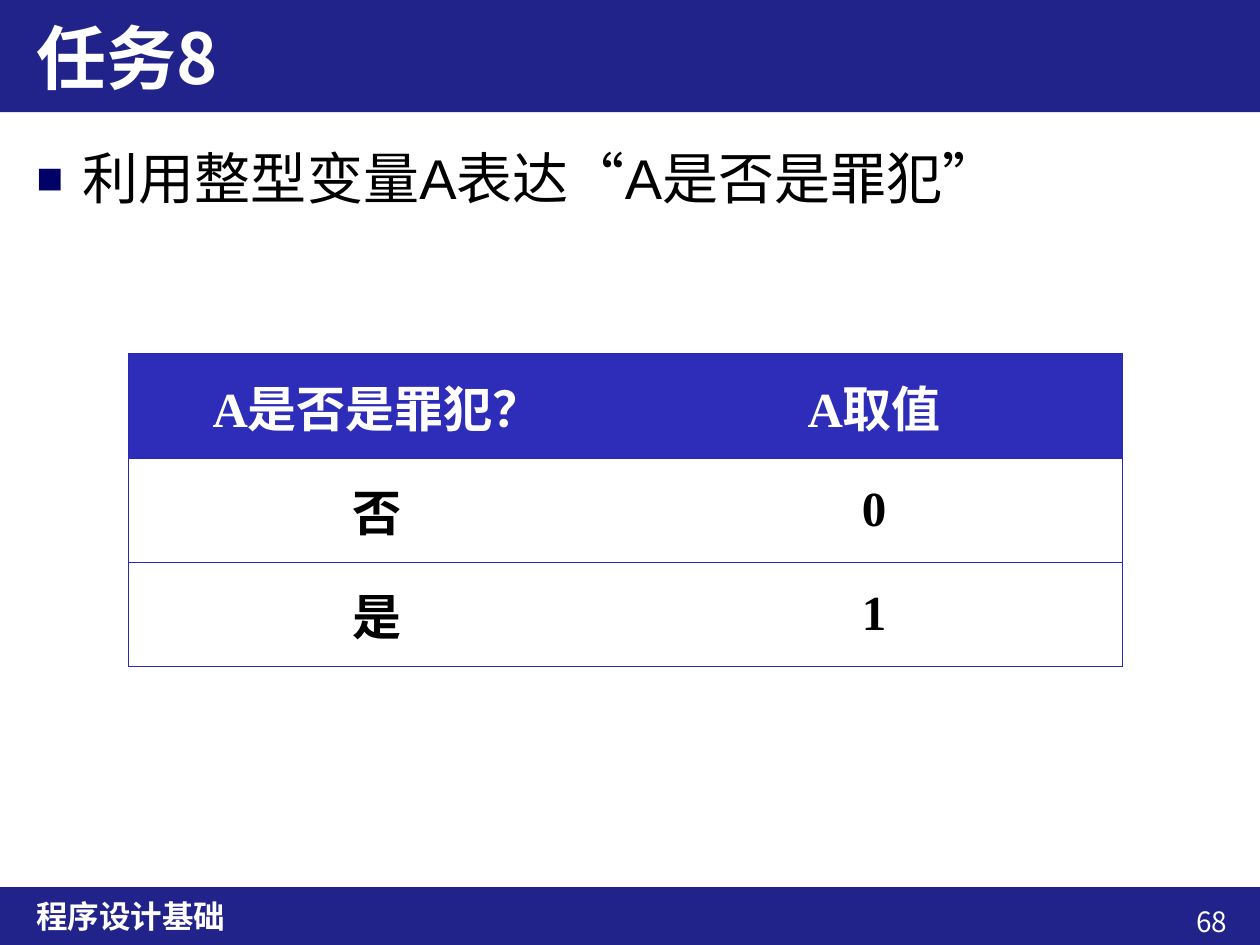
import dataclasses

import lxml.etree
import pptx
import pptx.dml.color
import pptx.enum.shapes
import pptx.enum.text
import pptx.oxml.ns
import pptx.util

Inches = pptx.util.Inches
Align = pptx.enum.text.PP_ALIGN
Anchor = pptx.enum.text.MSO_ANCHOR
qn = pptx.oxml.ns.qn

COLORS = {
    "band": "22228B",
    "header": "2D2DB9",
    "border": "2929B8",
    "bullet": "000066",
    "white": "FFFFFF",
    "black": "000000",
}
SANS = "Noto Sans CJK SC"
SERIF = "Times New Roman"


@dataclasses.dataclass(frozen=True)
class Area:
    left: float
    top: float
    width: float
    height: float

    def lengths(self) -> tuple:
        return tuple(Inches(value) for value in dataclasses.astuple(self))


@dataclasses.dataclass(frozen=True)
class Style:
    size: int
    font: str = SANS
    color: str = "white"
    bold: bool = False


TITLE_BAND = Area(-0.01, 0, 10.01, 0.89)
FOOTER_BAND = Area(-0.01, 7.04, 10.01, 0.46)
TITLE = Area(0.19, 0, 9.6, 0.89)
BODY = Area(0.19, 1.04, 9.6, 5.85)
FOOTER = Area(0.19, 7.04, 9.6, 0.46)
PAGE_NUMBER = Area(8.59, 7.13, 1.25, 0.37)
TABLE = Area(1.02, 2.81, 7.89, 2.48)
ROWS = [("A是否是罪犯？", "A取值"), ("否", "0"), ("是", "1")]


def rgb(name: str) -> pptx.dml.color.RGBColor:
    return pptx.dml.color.RGBColor.from_string(COLORS[name])


def add_band(page, area: Area) -> None:
    band = page.shapes.add_shape(
        pptx.enum.shapes.MSO_SHAPE.RECTANGLE, *area.lengths())
    band.shadow.inherit = False
    band.fill.solid()
    band.fill.fore_color.rgb = rgb("band")
    band.line.fill.background()


def write(frame, text: str, style: Style, align=Align.LEFT):
    para = frame.paragraphs[0]
    para.alignment = align
    span = para.add_run()
    span.text = text
    span.font.size = pptx.util.Pt(style.size)
    span.font.name = style.font
    span.font.bold = style.bold
    span.font.color.rgb = rgb(style.color)
    east_asian = lxml.etree.Element(qn("a:ea"), typeface=SANS)
    span.font._element.find(qn("a:latin")).addnext(east_asian)
    return para


def add_text(page, area: Area, text: str, style: Style,
             align=Align.LEFT, anchor=Anchor.TOP):
    box = page.shapes.add_textbox(*area.lengths())
    box.text_frame.word_wrap = True
    box.text_frame.vertical_anchor = anchor
    return write(box.text_frame, text, style, align)


def add_title(page, text: str) -> None:
    box = page.shapes.title
    box.left, box.top, box.width, box.height = TITLE.lengths()
    box.text_frame.auto_size = pptx.enum.text.MSO_AUTO_SIZE.NONE
    box.text_frame.vertical_anchor = Anchor.MIDDLE
    write(box.text_frame, text, Style(40, bold=True))
    page.shapes._spTree.append(box._element)


def add_bullet(para) -> None:
    para.line_spacing = 1.1
    para.space_before = pptx.util.Pt(6.4)
    props = para._p.get_or_add_pPr()
    props.set("marL", str(Inches(0.37)))
    props.set("indent", str(-Inches(0.37)))
    color = lxml.etree.SubElement(props, qn("a:buClr"))
    lxml.etree.SubElement(color, qn("a:srgbClr"), val=COLORS["bullet"])
    lxml.etree.SubElement(props, qn("a:buSzPct"), val="80000")
    lxml.etree.SubElement(props, qn("a:buFont"), typeface="Arial")
    lxml.etree.SubElement(props, qn("a:buChar"), char="■")


def set_borders(cell, visible: str) -> None:
    props = cell._tc.get_or_add_tcPr()
    for side in "LRTB":
        line = lxml.etree.SubElement(
            props, qn(f"a:ln{side}"), w=str(pptx.util.Pt(0.75)))
        if side in visible:
            fill = lxml.etree.SubElement(line, qn("a:solidFill"))
            lxml.etree.SubElement(fill, qn("a:srgbClr"), val=COLORS["border"])
        else:
            lxml.etree.SubElement(line, qn("a:noFill"))


def add_value_table(page) -> None:
    table = page.shapes.add_table(len(ROWS), 2, *TABLE.lengths()).table
    table.first_row = False
    table.horz_banding = False
    for row, texts in enumerate(ROWS):
        fill, ink = ("header", "white") if row == 0 else ("white", "black")
        for column, text in enumerate(texts):
            cell = table.cell(row, column)
            set_borders(cell, "TBL" if column == 0 else "TBR")
            cell.fill.solid()
            cell.fill.fore_color.rgb = rgb(fill)
            cell.vertical_anchor = Anchor.MIDDLE
            write(cell.text_frame, text, Style(28, SERIF, ink, True),
                  Align.CENTER)


def main() -> None:
    deck = pptx.Presentation()
    deck.slide_width, deck.slide_height = Inches(10), Inches(7.5)
    page = deck.slides.add_slide(deck.slide_layouts[5])
    add_band(page, FOOTER_BAND)
    add_text(page, PAGE_NUMBER, "68", Style(16), Align.RIGHT)
    add_text(page, FOOTER, "程序设计基础", Style(18, bold=True),
             anchor=Anchor.MIDDLE)
    add_band(page, TITLE_BAND)
    add_title(page, "任务8")
    add_bullet(add_text(page, BODY, "利用整型变量A表达“A是否是罪犯”",
                        Style(32, "Arial", "black")))
    add_value_table(page)
    deck.save("out.pptx")


if __name__ == "__main__":
    main()
